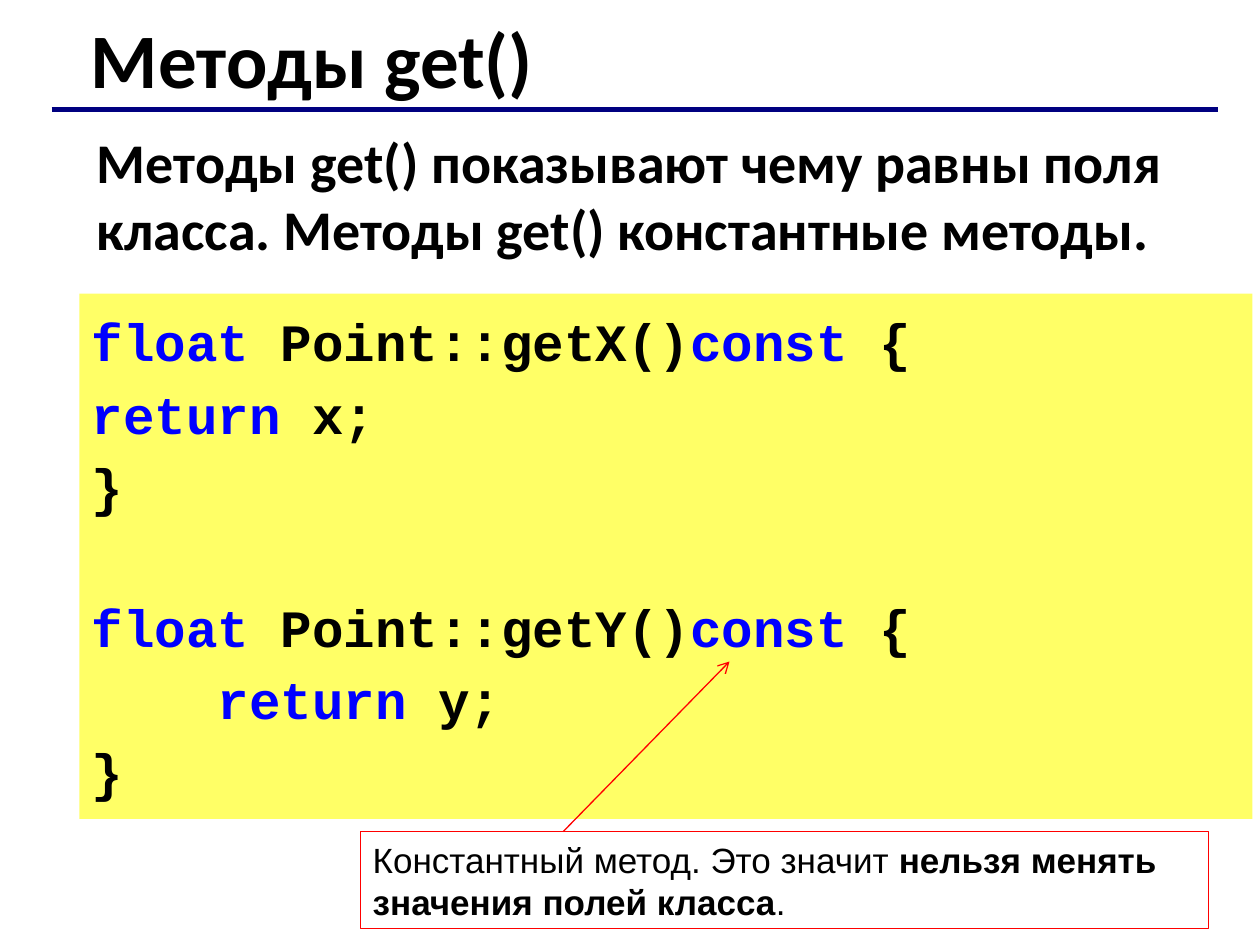
from lxml.etree import SubElement
from pptx import Presentation
from pptx.dml.color import RGBColor as Rgb
from pptx.enum.shapes import MSO_CONNECTOR as Link, MSO_SHAPE as Shape
from pptx.enum.text import MSO_ANCHOR as Anchor, PP_ALIGN as Align
from pptx.oxml.ns import qn
from pptx.util import Inches, Pt

HUE = {"ink": "000000", "key": "0000FF", "rule": "000080", "code": "FFFF66", "note": "FF0000"}


class Deck:
    def __init__(self):
        self.prs = Presentation()
        self.prs.slide_width, self.prs.slide_height = Inches(10), Inches(7.5)
        self.slide = self.prs.slides.add_slide(self.prs.slide_layouts[5])

    def hue(self, name):
        return Rgb.from_string(HUE[name])

    def fill(self, frame, rows, face, size, anchor=Anchor.TOP, lead=1, gaps=()):
        frame.word_wrap = True
        frame.vertical_anchor = anchor
        for i, row in enumerate(rows):
            para = frame.paragraphs[0] if i == 0 else frame.add_paragraph()
            para.alignment = Align.LEFT
            para.line_spacing = lead
            para.space_before = Pt(size * lead * 1.13 if i in gaps else 0)
            for text, tone, bold in row:
                run = para.add_run()
                run.text = text
                font = run.font
                font.name, font.size, font.bold = face, Pt(size), bold
                font.color.rgb = self.hue(tone)

    def place(self, item, box):
        item.left, item.top, item.width, item.height = map(Inches, box)

    def title(self, box, text):
        head = self.slide.shapes.title
        self.place(head, box)
        self.fill(head.text_frame, [[(text, "ink", True)]], "Calibri", 44)

    def text(self, box, text):
        item = self.slide.shapes.add_textbox(*map(Inches, box))
        self.fill(item.text_frame, [[(text, "ink", True)]], "Calibri", 32)

    def panel(self, box, rows, face, size, back=None, edge=None, **style):
        item = self.slide.shapes.add_shape(Shape.RECTANGLE, *map(Inches, box))
        item.shadow.inherit = False
        if back:
            item.fill.solid()
            item.fill.fore_color.rgb = self.hue(back)
        else:
            item.fill.background()
        if edge:
            item.line.color.rgb = self.hue(edge)
            item.line.width = Pt(0.75)
        else:
            item.line.fill.background()
        self.fill(item.text_frame, rows, face, size, **style)

    def line(self, ends, tone, width, arrow=False):
        item = self.slide.shapes.add_connector(Link.STRAIGHT, *map(Inches, ends))
        item.line.color.rgb = self.hue(tone)
        item.line.width = Pt(width)
        if arrow:
            SubElement(item.line._get_or_add_ln(), qn("a:tailEnd"), type="arrow")
        SubElement(item._element.spPr, qn("a:effectLst"))


def getter(name, field, indent=""):
    return [
        [("float", "key", True), (f" Point::{name}()", "ink", True),
         ("const", "key", True), (" {", "ink", True)],
        [(indent + "return", "key", True), (f" {field};", "ink", True)],
        [("}", "ink", True)],
    ]


def main():
    deck = Deck()
    deck.line((0.41, 0.87, 9.67, 0.87), "rule", 3)
    deck.title((0.62, 0.04, 4.49, 0.84), "Методы get()")
    deck.text((0.67, 0.96, 9, 1.18),
              "Методы get() показывают чему равны поля класса. Методы get() константные методы.")
    code = getter("getX", "x") + getter("getY", "y", "\t\t")
    deck.panel((0.63, 2.33, 9.31, 4.17), code, "Courier New", 30,
               back="code", lead=1.15, gaps=(3,))
    note = [("Константный метод. Это значит ", "ink", False),
            ("нельзя менять значения полей класса", "ink", True), (".", "ink", False)]
    deck.panel((2.86, 6.6, 6.73, 0.77), [note], "Arial", 20,
               edge="note", anchor=Anchor.MIDDLE)
    deck.line((4.47, 6.6, 5.79, 5.25), "note", 0.75, arrow=True)
    deck.prs.save("out.pptx")


if __name__ == "__main__":
    main()
